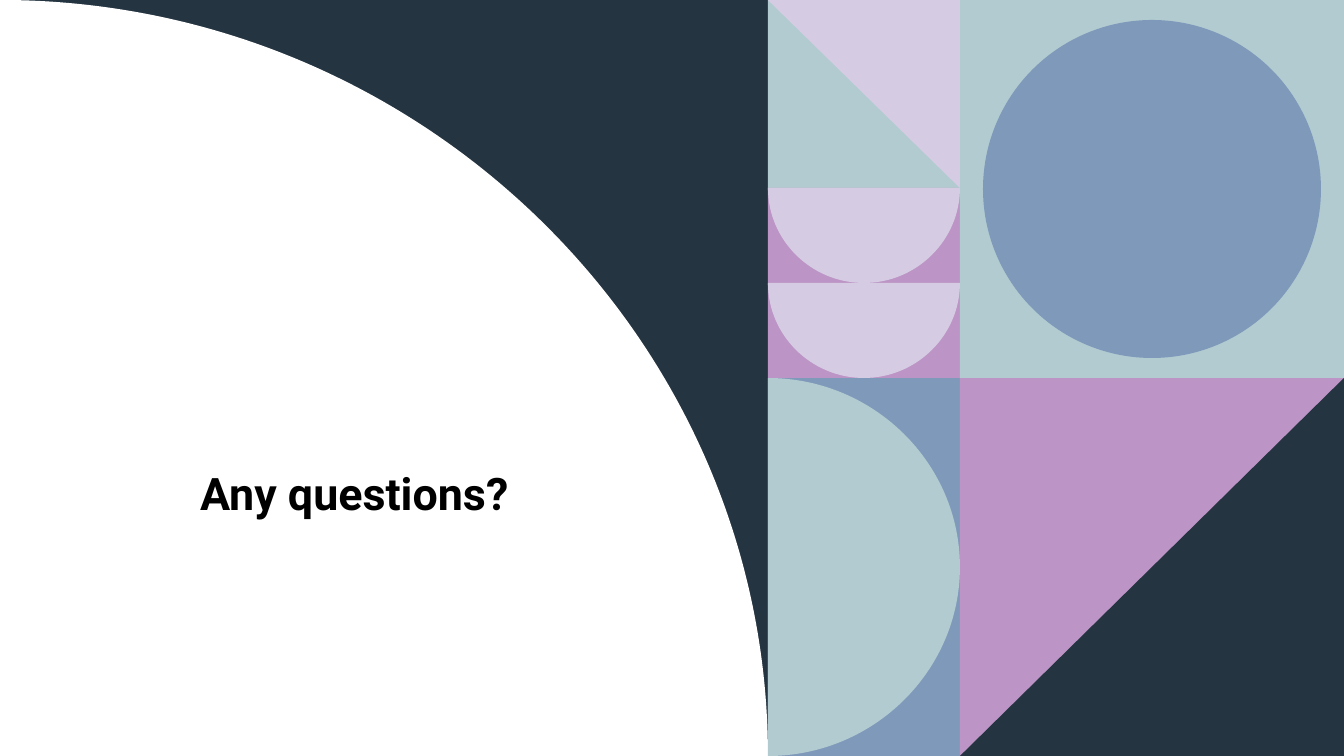
"""Build a closing slide with a question beside a mosaic of geometric tiles."""
from pptx import Presentation
from pptx.dml.color import RGBColor
from pptx.enum.shapes import MSO_SHAPE
from pptx.enum.text import MSO_ANCHOR, PP_ALIGN
from pptx.oxml.ns import qn
from pptx.util import Pt

RECTANGLE, OVAL = MSO_SHAPE.RECTANGLE, MSO_SHAPE.OVAL
BOTTOM, CENTER = MSO_ANCHOR.BOTTOM, PP_ALIGN.CENTER
WIDTH, HEIGHT = 1344, 756
PX = 12192000 / WIDTH
ARC_PULL = 0.55
COLORS = {
    "white": "FFFFFF", "black": "000000", "navy": "243441", "teal": "B2CBD0",
    "lilac": "D5CCE3", "orchid": "BC94C5", "blue": "7F99BA",
}


def paint(shape, color):
    shape.shadow.inherit = False
    shape.fill.solid()
    shape.fill.fore_color.rgb = RGBColor.from_string(COLORS[color])
    shape.line.fill.background()


def toward(point, corner):
    return tuple(p + ARC_PULL * (c - p) for p, c in zip(point, corner))


prs = Presentation()
prs.slide_width, prs.slide_height = round(WIDTH * PX), round(HEIGHT * PX)
slide = prs.slides.add_slide(prs.slide_layouts[6])
shapes = slide.shapes

LEFT, MIDDLE = 768, 960
TRIANGLE_END, BOWL, HALF = 188, 95, 378
bowl_center = (LEFT + MIDDLE) // 2
half_disc_center = (HALF + HEIGHT) // 2

tiles = [
    (RECTANGLE, 0, 0, LEFT, HEIGHT, "navy"),
    (RECTANGLE, LEFT, 0, MIDDLE, TRIANGLE_END, "teal"),
    (RECTANGLE, LEFT, TRIANGLE_END, MIDDLE, HALF, "orchid"),
    (RECTANGLE, MIDDLE, 0, WIDTH, HALF, "teal"),
    (OVAL, 983, 20, 1321, 358, "blue"),
    (RECTANGLE, LEFT, HALF, MIDDLE, HEIGHT, "blue"),
    (RECTANGLE, MIDDLE, HALF, WIDTH, HEIGHT, "orchid"),
]
for kind, left, top, right, bottom, color in tiles:
    box = [round(v * PX) for v in (left, top, right - left, bottom - top)]
    paint(shapes.add_shape(kind, *box), color)

cutouts = [
    ([(0, HEIGHT), (0, 0)], [((LEFT, 0), (LEFT, HEIGHT))], "white"),
    ([(LEFT, 0), (MIDDLE, 0), (MIDDLE, TRIANGLE_END)], [], "lilac"),
    ([(LEFT, HEIGHT), (LEFT, HALF)],
     [((MIDDLE, HALF), (MIDDLE, half_disc_center)),
      ((MIDDLE, HEIGHT), (LEFT, HEIGHT))], "teal"),
    ([(WIDTH, HALF), (WIDTH, HEIGHT), (MIDDLE, HEIGHT)], [], "navy"),
]
for top in (TRIANGLE_END, TRIANGLE_END + BOWL):
    base = top + BOWL
    cutouts.append(([(LEFT, top), (MIDDLE, top)],
                    [((MIDDLE, base), (bowl_center, base)),
                     ((LEFT, base), (LEFT, top))], "lilac"))

for straight, arcs, color in cutouts:
    points = list(straight)
    for corner, end in arcs:
        points += [toward(points[-1], corner), toward(end, corner), end]
    outline = [(round(x * PX), round(y * PX)) for x, y in points]
    builder = shapes.build_freeform(*outline[0])
    builder.add_line_segments(outline[1:], close=True)
    cutout = builder.convert_to_shape()
    steps = list(cutout.element.iter(qn("a:lnTo")))
    first_arc = len(straight) - 1
    for i in range(len(arcs)):
        curve, *others = steps[first_arc + 3 * i:first_arc + 3 * i + 3]
        curve.tag = qn("a:cubicBezTo")
        for step in others:
            curve.append(step[0])
            step.getparent().remove(step)
    paint(cutout, color)

title_box = [round(v * PX) for v in (119, 312, 471, 212)]
title = shapes.add_textbox(*title_box).text_frame
title.word_wrap = True
title.vertical_anchor = BOTTOM
question = title.paragraphs[0]
question.text = "Any questions?"
question.alignment = CENTER
question.line_spacing = 1.1
title_format = {"name": "Roboto", "size": Pt(32), "bold": True}
for attribute, value in title_format.items():
    setattr(question.runs[0].font, attribute, value)
question.runs[0].font.color.rgb = RGBColor.from_string(COLORS["black"])

prs.save("out.pptx")
